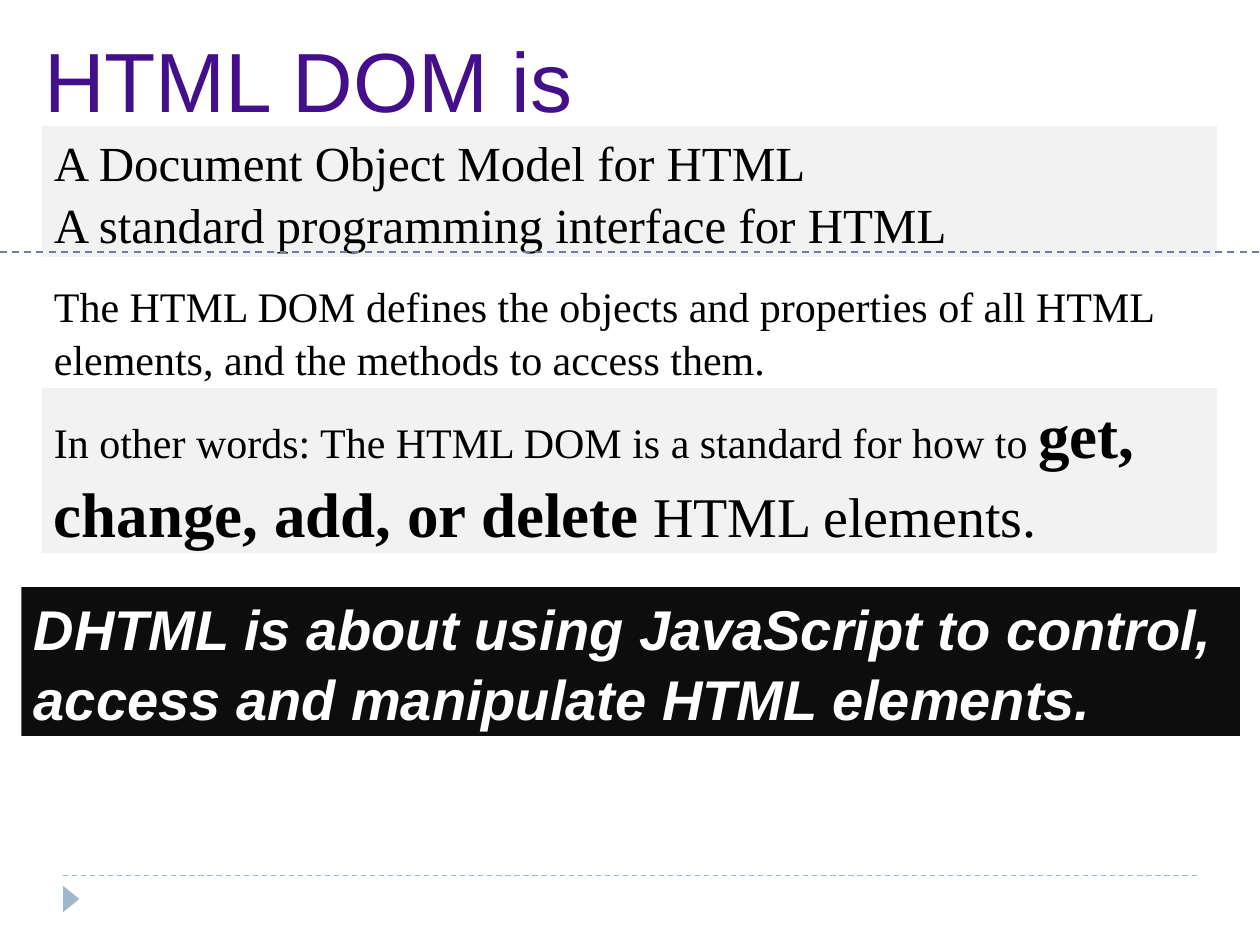
from lxml.etree import SubElement
from pptx import Presentation
from pptx.dml.color import RGBColor
from pptx.enum.dml import MSO_LINE
from pptx.enum.shapes import MSO_CONNECTOR, MSO_SHAPE
from pptx.enum.text import MSO_ANCHOR, PP_ALIGN
from pptx.oxml.ns import qn
from pptx.util import Inches, Pt

SERIF = "Times New Roman"
SANS = "Arial"
BLACK = "000000"
PALE_GREY = "F2F2F2"
PALE_BLUE = "9FB8CD"


def color(value):
    return RGBColor.from_string(value)


def place(shape, left, top, width, height):
    shape.left, shape.top = Inches(left), Inches(top)
    shape.width, shape.height = Inches(width), Inches(height)


def style_span(span, size, font=SERIF, ink=BLACK, bold=False, italic=False):
    span.font.name = font
    span.font.size = Pt(size)
    span.font.color.rgb = color(ink)
    span.font.bold = bold
    span.font.italic = italic


def add_title(page, text):
    title = page.shapes.title
    place(title, 0.25, 0.17, 9.42, 0.91)
    frame = title.text_frame
    frame.text = text
    frame.word_wrap = True
    frame.vertical_anchor = MSO_ANCHOR.MIDDLE
    para = frame.paragraphs[0]
    para.alignment = PP_ALIGN.LEFT
    style_span(para.runs[0], 48, SANS, "440F8B")


def add_panel(page, bounds, paragraphs, fill=None):
    """Add a text panel; each paragraph is a list of (text, style) spans."""
    if fill:
        box = page.shapes.add_shape(MSO_SHAPE.RECTANGLE, 0, 0, 0, 0)
        box.shadow.inherit = False
        box.fill.solid()
        box.fill.fore_color.rgb = color(fill)
        box.line.fill.background()
    else:
        box = page.shapes.add_textbox(0, 0, 0, 0)
    place(box, *bounds)
    frame = box.text_frame
    frame.word_wrap = True
    frame.vertical_anchor = MSO_ANCHOR.MIDDLE
    for index, spans in enumerate(paragraphs):
        para = frame.add_paragraph() if index else frame.paragraphs[0]
        para.alignment = PP_ALIGN.LEFT
        para.line_spacing = 1.05
        for text, style in spans:
            span = para.add_run()
            span.text = text
            style_span(span, **style)


def add_dashed_line(page, left, right, y, ink, width):
    line = page.shapes.add_connector(
        MSO_CONNECTOR.STRAIGHT, Inches(left), Inches(y), Inches(right), Inches(y))
    line.line.color.rgb = color(ink)
    line.line.width = Pt(width)
    line.line.dash_style = MSO_LINE.DASH
    SubElement(line._element.spPr, qn("a:effectLst"))


def add_footer_marker(page):
    marker = page.shapes.add_shape(MSO_SHAPE.ISOSCELES_TRIANGLE, 0, 0, 0, 0)
    place(marker, 0.46, 7.07, 0.21, 0.13)
    marker.rotation = 90
    marker.shadow.inherit = False
    marker.fill.solid()
    marker.fill.fore_color.rgb = color(PALE_BLUE)
    marker.line.fill.background()


def main():
    deck = Presentation()
    deck.slide_width, deck.slide_height = Inches(10), Inches(7.5)
    page = deck.slides.add_slide(deck.slide_layouts[5])

    add_dashed_line(page, 0.5, 9.5, 6.95, PALE_BLUE, 0.75)
    add_footer_marker(page)
    add_title(page, "HTML DOM is")

    add_panel(page, (0.33, 1, 9.33, 1.04), [
        [("A Document Object Model for HTML", {"size": 28})],
        [("A standard programming interface for HTML", {"size": 28})],
    ], PALE_GREY)
    add_panel(page, (0.33, 2.17, 9.33, 0.91), [
        [("The HTML DOM defines the objects and properties of all HTML "
          "elements, and the methods to access them.", {"size": 24})],
    ])
    add_dashed_line(page, 0, 10, 2, "727CA3", 1)
    add_panel(page, (0.33, 3.08, 9.33, 1.31), [
        [("In other words: The HTML DOM is a standard for how to ", {"size": 24}),
         ("get, change, add, or delete", {"size": 36, "bold": True}),
         (" ", {"size": 32, "bold": True}),
         ("HTML elements.", {"size": 32})],
    ], PALE_GREY)
    add_panel(page, (0.17, 4.66, 9.67, 1.18), [
        [("DHTML is about using JavaScript to control, access and manipulate "
          "HTML elements.",
          {"size": 32, "font": SANS, "ink": "FFFFFF", "bold": True, "italic": True})],
    ], "0D0D0D")

    deck.save("out.pptx")


if __name__ == "__main__":
    main()
